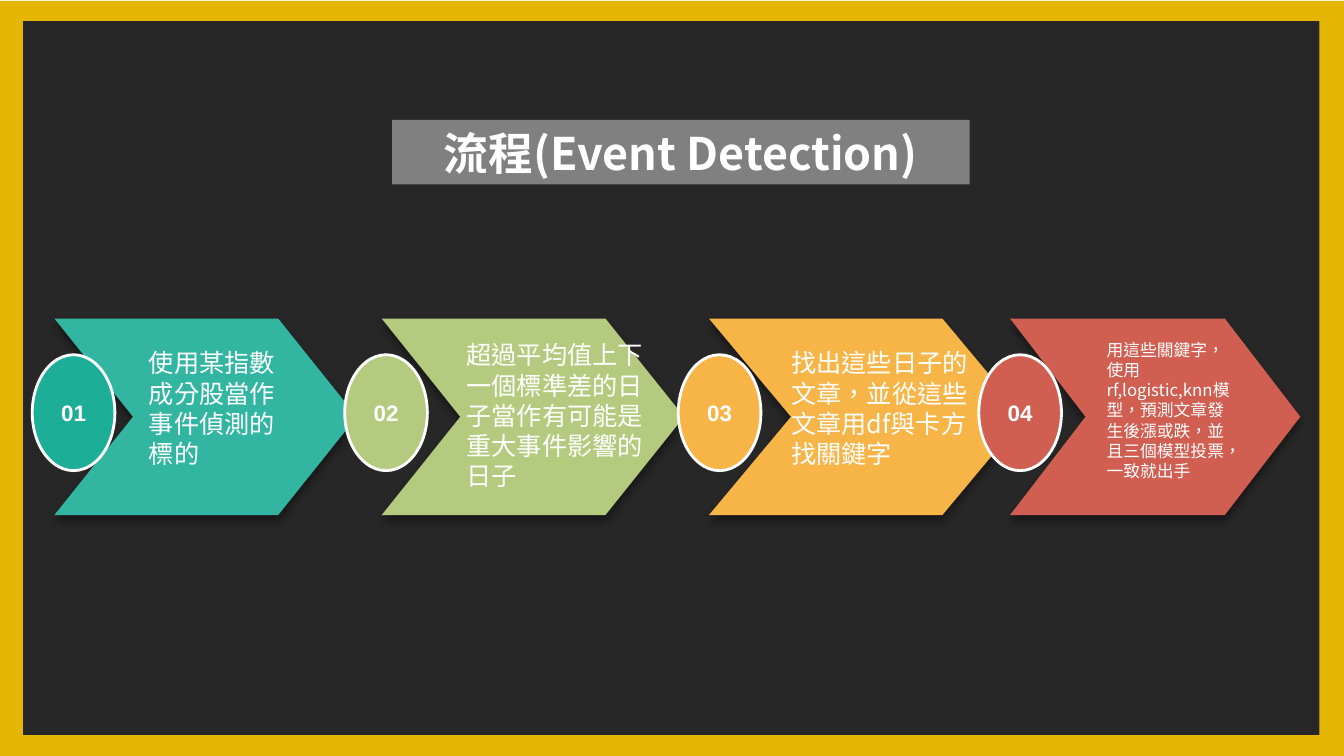
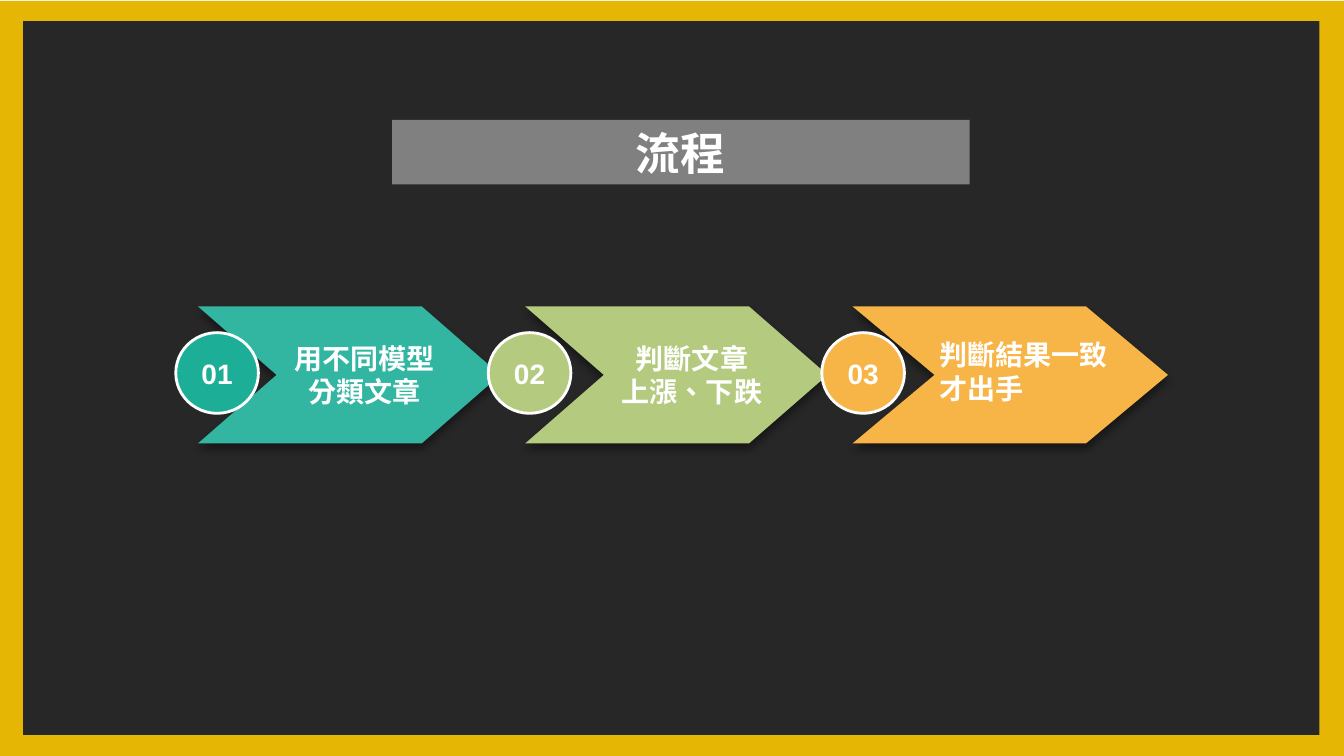
from dataclasses import dataclass
from typing import Optional

from lxml.etree import SubElement
from pptx import Presentation
from pptx.dml.color import RGBColor
from pptx.enum.shapes import MSO_SHAPE
from pptx.enum.text import MSO_ANCHOR, PP_ALIGN
from pptx.oxml.ns import qn
from pptx.util import Emu, Inches, Pt

WIDE, HIGH = Inches(13.33), Inches(7.5)
CJK, LATIN = "Noto Sans CJK SC", "Arial"
HUES = {
    "gold": "E5B704", "dark": "282728", "gray": "808080", "white": "FFFFFF",
    "black": "000000", "teal": "32B6A1", "jade": "1CAE97", "lime": "B4CB7F",
    "amber": "F7B447", "red": "D05E51",
}
NOTCH = 0.26
OVAL = 6.15


@dataclass(frozen=True)
class Box:
    left: float
    top: float
    width: float
    height: float

    def emu(self) -> tuple:
        return (across(self.left), down(self.top),
                across(self.width), down(self.height))


@dataclass(frozen=True)
class Stage:
    left: float
    width: float
    dot: float
    fill: str
    badge: str


@dataclass(frozen=True)
class Step:
    text: str
    size: int
    box: Optional[Box] = None
    bold: bool = False


@dataclass(frozen=True)
class Flow:
    title: str
    steps: tuple
    shift: float
    top: float
    height: float
    dot_top: float
    dot_high: float
    dot_size: int


STAGES = (
    Stage(4.05, 22.5, 2.4, "teal", "jade"),
    Stage(28.4, 22.5, 25.65, "lime", "lime"),
    Stage(52.75, 23.47, 50.47, "amber", "amber"),
    Stage(75.15, 21.6, 72.83, "red", "red"),
)

FLOWS = (
    Flow("流程(Event Detection)", (
        Step("使用某指數成分股當作事件偵測的標的", 18,
             Box(10.35, 45.33, 11.33, 21.6)),
        Step("超過平均值上下一個標準差的日子當作有可能是重大事件影響的日子", 18,
             Box(33.97, 44.27, 14.63, 25.6)),
        Step("找出這些日子的文章，並從這些文章用df與卡方找關鍵字", 18,
             Box(58.13, 45.33, 14.7, 21.6)),
        Step("用這些關鍵字，使用rf,logistic,knn模型，預測文章發生後漲或跌，"
             "並且三個模型投票，一致就出手", 12,
             Box(81.6, 44.27, 10.72, 22.93)),
    ), 0, 42.13, 26, 46.93, 15.33, 16),
    Flow("流程", (
        Step("用不同模型\n分類文章", 20, bold=True),
        Step("判斷文章\n上漲、下跌", 20, bold=True),
        Step("判斷結果一致才出手", 20, Box(69.15, 44, 15.6, 10.27), True),
    ), 10.68, 40.53, 18.13, 44, 10.67, 20),
)


def across(share: float) -> Emu:
    return Emu(round(WIDE * share / 100))


def down(share: float) -> Emu:
    return Emu(round(HIGH * share / 100))


def tint(name: str) -> RGBColor:
    return RGBColor.from_string(HUES[name])


def write(shape, text: str, *, size: int, font: str = CJK, bold: bool = False,
          align=PP_ALIGN.LEFT, anchor=MSO_ANCHOR.TOP, pads=None) -> None:
    frame = shape.text_frame
    frame.word_wrap = True
    frame.vertical_anchor = anchor
    if pads is not None:
        (frame.margin_left, frame.margin_top,
         frame.margin_right, frame.margin_bottom) = pads
    frame.text = text
    for para in frame.paragraphs:
        para.alignment = align
        for run in para.runs:
            run.font.size = Pt(size)
            run.font.bold = bold
            run.font.name = font
            run.font.color.rgb = tint("white")
            props = run.font._element
            props.set("lang", "zh-TW")
            SubElement(props, qn("a:ea"), typeface=font)


def paint(shape, fill: str, edge: Optional[str] = None) -> None:
    shape.shadow.inherit = False
    shape.fill.solid()
    shape.fill.fore_color.rgb = tint(fill)
    if edge:
        shape.line.color.rgb = tint(edge)
        shape.line.width = Pt(2)
    else:
        shape.line.fill.background()


def shade(shape) -> None:
    effects = shape.element.spPr.find(qn("a:effectLst"))
    outer = SubElement(effects, qn("a:outerShdw"), blurRad=str(Pt(6)),
                       dist=str(Pt(4)), dir="5400000", rotWithShape="0")
    color = SubElement(outer, qn("a:srgbClr"), val=HUES["black"])
    SubElement(color, qn("a:alpha"), val="40000")


def frame(slide, layout) -> None:
    panels = (("gold", Box(0, 0.13, 100, 100)),
              ("dark", Box(1.73, 2.8, 96.45, 94.4)))
    for rank, (fill, box) in enumerate(panels):
        panel = slide.shapes.add_shape(MSO_SHAPE.RECTANGLE, *box.emu())
        paint(panel, fill)
        panel.element.nvSpPr.cNvPr.set("id", str(100 + rank))
        layout.shapes.element.insert(2 + rank, panel.element)


def head(slide, text: str) -> None:
    title = slide.shapes.title
    title.left, title.top, title.width, title.height = Box(
        29.17, 15.87, 42.97, 8.53).emu()
    title.fill.solid()
    title.fill.fore_color.rgb = tint("gray")
    write(title, text, size=32, bold=True, align=PP_ALIGN.CENTER,
          anchor=MSO_ANCHOR.MIDDLE)


def arrow(slide, box: Box, fill: str):
    left, top, width, height = box.emu()
    points = ((1 - NOTCH, 0), (1, 0.5), (1 - NOTCH, 1), (0, 1), (NOTCH, 0.5))
    pen = slide.shapes.build_freeform(left, top)
    pen.add_line_segments(
        [(left + round(width * x), top + round(height * y))
         for x, y in points], close=True)
    shape = pen.convert_to_shape()
    paint(shape, fill)
    shade(shape)
    return shape


def badge(slide, box: Box, fill: str, text: str, size: int) -> None:
    dot = slide.shapes.add_shape(MSO_SHAPE.OVAL, *box.emu())
    paint(dot, fill, "white")
    write(dot, text, size=size, font=LATIN, bold=True,
          align=PP_ALIGN.CENTER, anchor=MSO_ANCHOR.MIDDLE, pads=(0, 0, 0, 0))


def draw(slide, flow: Flow) -> None:
    head(slide, flow.title)
    for rank, (stage, step) in enumerate(zip(STAGES, flow.steps), 1):
        body = Box(stage.left + flow.shift, flow.top, stage.width, flow.height)
        shape = arrow(slide, body, stage.fill)
        spot = Box(stage.dot + flow.shift, flow.dot_top, OVAL, flow.dot_high)
        badge(slide, spot, stage.badge, f"{rank:02}", flow.dot_size)
        if step.box:
            note = slide.shapes.add_textbox(*step.box.emu())
            write(note, step.text, size=step.size, bold=step.bold)
        else:
            write(shape, step.text, size=step.size, bold=step.bold,
                  align=PP_ALIGN.CENTER, anchor=MSO_ANCHOR.MIDDLE,
                  pads=(across(4.42), 0, across(2.1), 0))


def main() -> None:
    deck = Presentation()
    deck.slide_width, deck.slide_height = WIDE, HIGH
    layout = deck.slide_layouts[5]
    slides = [deck.slides.add_slide(layout) for _ in FLOWS]
    frame(slides[0], layout)
    for slide, flow in zip(slides, FLOWS):
        draw(slide, flow)
    deck.save("out.pptx")


if __name__ == "__main__":
    main()
